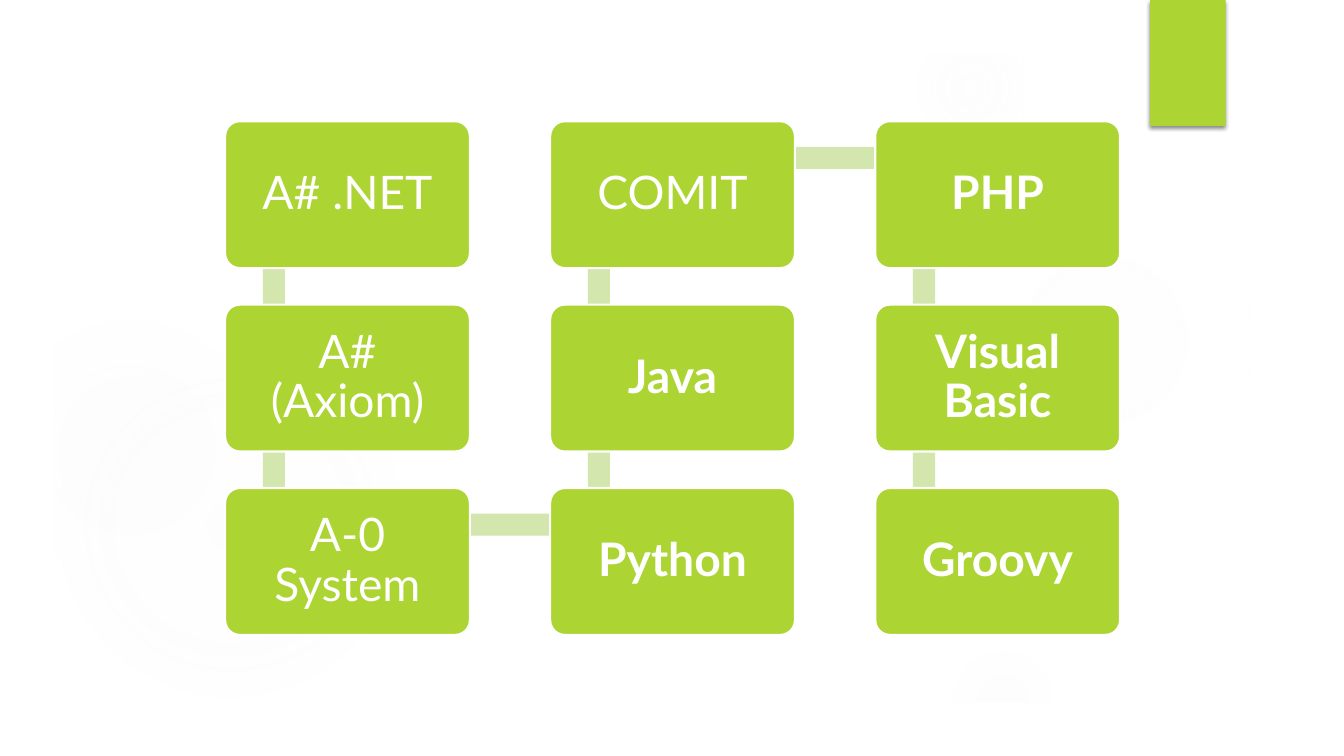
from dataclasses import dataclass
from itertools import pairwise

from lxml import etree
from pptx import Presentation
from pptx.dml.color import RGBColor
from pptx.enum import shapes, text
from pptx.oxml import ns
from pptx.util import Pt

COLORS = {"lime": "ACD433", "pale": "D2E6AE", "white": "FFFFFF", "glow": "F7F7F7", "shadow": "000000"}
WIDTH, HEIGHT = 960, 540
FRAME = 37.5
FONT = "Lato"

# Grid of boxes, and the point inside each box that the path runs through
LEFT, TOP = 160.8, 86.6
COLUMN_STEP, ROW_STEP = 232.2, 131
BOX_WIDTH, BOX_HEIGHT = 174.8, 104.9
ANCHOR_X, ANCHOR_Y = 34.8, 26.2
BAR = 15.8


@dataclass
class Glow:
    left: float
    top: float
    size: float
    stops: tuple[tuple[int, int], ...]  # position %, opacity %


@dataclass
class Language:
    name: str
    column: int
    row: int
    bold: bool = False

    @property
    def left(self) -> float:
        return LEFT + self.column * COLUMN_STEP

    @property
    def top(self) -> float:
        return TOP + self.row * ROW_STEP


GLOWS = [
    Glow(0, 210, 330, ((0, 11), (36, 10), (75, 0))),
    Glow(0, 228, 186, ((0, 8), (36, 8), (72, 0))),
    Glow(677.5, 132, 222, ((0, 7), (36, 6), (69, 0))),
    Glow(630, 0, 126, ((0, 14), (36, 7), (73, 0))),
    Glow(677.5, 462, 78, ((0, 14), (36, 7), (66, 0))),
]

# Listed in path order: down, up, down
LANGUAGES = [
    Language("A# .NET", 0, 0),
    Language("A# (Axiom)", 0, 1),
    Language("A-0 System", 0, 2),
    Language("Python", 1, 2, True),
    Language("Java", 1, 1, True),
    Language("COMIT", 1, 0),
    Language("PHP", 2, 0, True),
    Language("Visual Basic", 2, 1, True),
    Language("Groovy", 2, 2, True),
]


def color(name: str) -> RGBColor:
    return RGBColor.from_string(COLORS[name])


def paint(shape, fill: str) -> None:
    shape.shadow.inherit = False
    shape.fill.solid()
    shape.fill.fore_color.rgb = color(fill)
    shape.line.fill.background()


def add_block(slide, kind, left: float, top: float, width: float, height: float, fill: str):
    shape = slide.shapes.add_shape(kind, Pt(left), Pt(top), Pt(width), Pt(height))
    paint(shape, fill)
    return shape


def add_glow(slide, glow: Glow) -> None:
    shape = add_block(slide, shapes.MSO_SHAPE.OVAL, glow.left, glow.top, glow.size, glow.size, "glow")
    stops = "".join(
        f'<a:gs pos="{position * 1000}"><a:srgbClr val="{COLORS["glow"]}">'
        f'<a:alpha val="{opacity * 1000}"/></a:srgbClr></a:gs>'
        for position, opacity in glow.stops
    )
    gradient = etree.fromstring(
        f'<a:gradFill {ns.nsdecls("a")} rotWithShape="1"><a:gsLst>{stops}</a:gsLst>'
        '<a:path path="circle"><a:fillToRect l="50000" t="50000" r="50000" b="50000"/></a:path>'
        "</a:gradFill>"
    )
    properties = shape._element.spPr
    properties.replace(properties.find(ns.qn("a:solidFill")), gradient)


def add_frame(slide) -> None:
    right, bottom = WIDTH - FRAME, HEIGHT - FRAME
    builder = slide.shapes.build_freeform(0, 0, scale=Pt(1))
    builder.add_line_segments([(0, HEIGHT), (WIDTH, HEIGHT), (WIDTH, 0)], close=True)
    builder.move_to(right, bottom)
    builder.add_line_segments([(FRAME, bottom), (FRAME, FRAME), (right, FRAME)], close=True)
    paint(builder.convert_to_shape(), "white")


def add_tag(slide) -> None:
    tag = add_block(slide, shapes.MSO_SHAPE.RECTANGLE, 821.5, 0, 54, 90, "lime")
    effects = tag._element.spPr.find(ns.qn("a:effectLst"))
    shadow = etree.SubElement(
        effects, ns.qn("a:outerShdw"), blurRad=str(Pt(3)), dist=str(Pt(2)), dir="5400000", rotWithShape="0"
    )
    tint = etree.SubElement(shadow, ns.qn("a:srgbClr"), val=COLORS["shadow"])
    etree.SubElement(tint, ns.qn("a:alpha"), val="45000")


def add_bar(slide, start: Language, end: Language) -> None:
    left = min(start.left, end.left) + ANCHOR_X
    top = min(start.top, end.top) + ANCHOR_Y
    if start.column == end.column:
        bounds = (left - BAR / 2, top, BAR, ROW_STEP)
    else:
        bounds = (left, top - BAR / 2, COLUMN_STEP, BAR)
    add_block(slide, shapes.MSO_SHAPE.RECTANGLE, *bounds, "pale")


def add_box(slide, language: Language) -> None:
    box = add_block(
        slide, shapes.MSO_SHAPE.ROUNDED_RECTANGLE, language.left, language.top, BOX_WIDTH, BOX_HEIGHT, "lime"
    )
    box.adjustments[0] = 0.1
    box.line.color.rgb = color("white")
    box.line.width = Pt(1.5)
    frame = box.text_frame
    frame.word_wrap = True
    frame.vertical_anchor = text.MSO_ANCHOR.MIDDLE
    frame.margin_left = frame.margin_right = frame.margin_top = frame.margin_bottom = Pt(9.9)
    paragraph = frame.paragraphs[0]
    paragraph.text = language.name
    paragraph.alignment = text.PP_ALIGN.CENTER
    paragraph.line_spacing = 0.9
    paragraph.font.name = FONT
    paragraph.font.size = Pt(33)
    paragraph.font.bold = language.bold
    paragraph.font.color.rgb = color("white")


def main() -> None:
    presentation = Presentation()
    presentation.slide_width, presentation.slide_height = Pt(WIDTH), Pt(HEIGHT)
    slide = presentation.slides.add_slide(presentation.slide_layouts[6])
    slide.background.fill.solid()
    slide.background.fill.fore_color.rgb = color("white")

    # Backdrop
    for glow in GLOWS:
        add_glow(slide, glow)
    add_frame(slide)
    add_tag(slide)

    # Path of languages, bars behind boxes
    for start, end in pairwise(LANGUAGES):
        add_bar(slide, start, end)
    for language in LANGUAGES:
        add_box(slide, language)

    presentation.save("out.pptx")


if __name__ == "__main__":
    main()
